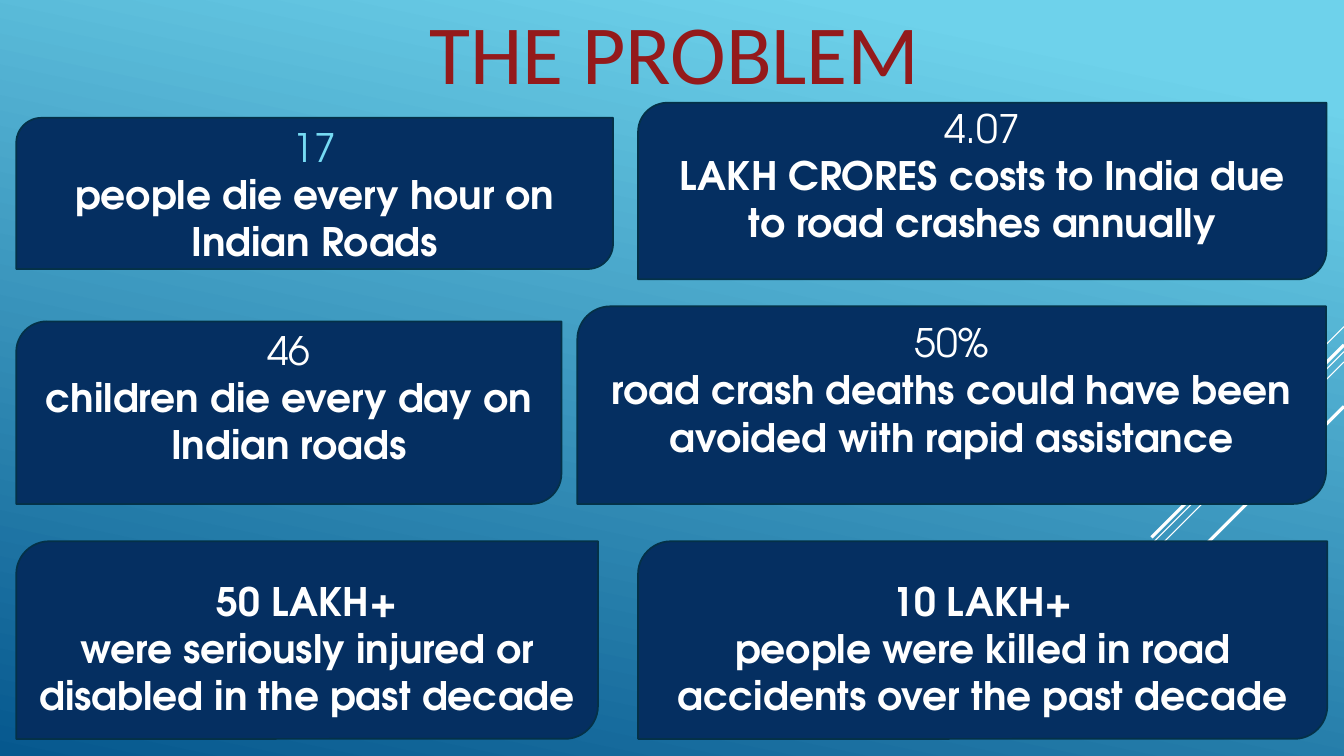
import pptx
import pptx.util
from lxml import etree
from pptx.dml.color import RGBColor
from pptx.enum.shapes import MSO_CONNECTOR, MSO_SHAPE
from pptx.enum.text import MSO_ANCHOR, PP_ALIGN
from pptx.oxml.ns import qn
from pptx.util import Cm, Pt

SKY = RGBColor(0x6E, 0xD2, 0xEB)
DEEP_BLUE = RGBColor(0x06, 0x58, 0x8E)
NAVY = RGBColor(0x05, 0x2F, 0x61)
CARD_EDGE = RGBColor(0x04, 0x31, 0x48)
WHITE = RGBColor(0xFF, 0xFF, 0xFF)
PALE_BLUE = RGBColor(0x76, 0xDB, 0xF4)
RED = RGBColor(0x94, 0x1A, 0x1B)

WIDTH, HEIGHT = 33.87, 19.05
LEFT, RIGHT = 0.41, 16.08
INSET = 0.13

# Top and bottom insets that place the text in a card
CENTRED = (INSET, INSET)
RAISED = (INSET, INSET + 0.8)
LOWERED = (INSET + 0.38, INSET)

# Box in cm, insets, figure, figure format, statement
CARDS = [
    ((LEFT, 2.97, 15.04, 3.81), CENTRED, "17", {"color": PALE_BLUE},
     "people die every hour on Indian Roads"),
    ((RIGHT, 2.59, 17.35, 4.45), RAISED, "4.07", {},
     "LAKH CRORES costs to India due to road crashes annually"),
    ((LEFT, 8.1, 13.74, 4.6), RAISED, "46", {},
     "children die every day on Indian roads"),
    ((14.55, 7.72, 18.87, 4.98), RAISED, "50%", {},
     "road crash deaths could have been avoided with rapid assistance"),
    ((LEFT, 13.64, 14.66, 4.98), LOWERED, "50 LAKH+", {"bold": True},
     "were seriously injured or disabled in the past decade"),
    ((RIGHT, 13.64, 17.37, 4.98), LOWERED, "10 LAKH+", {"bold": True},
     "people were killed in road accidents over the past decade"),
]

# Start height at the right edge, run in cm, weight in points
DIAGONALS = [(8.23, 2.54, 0.75), (8.86, 8.28, 0.75), (9.12, 5.26, 0.75),
             (8.69, 4.85, 2.25), (10.24, 3.53, 2.25)]


def set_background(s):
    fill = s.background.fill
    fill.gradient()
    fill.gradient_angle = 258
    for stop, position, color in zip(fill.gradient_stops, (0.1, 1), (SKY, DEEP_BLUE)):
        stop.position = position
        stop.color.rgb = color


def add_diagonal(s, y, run, weight):
    line = s.shapes.add_connector(MSO_CONNECTOR.STRAIGHT, Cm(WIDTH), Cm(y),
                                  Cm(WIDTH - run), Cm(y + run))
    line.line.color.rgb = WHITE
    line.line.width = Pt(weight)
    etree.SubElement(line._element.spPr, qn("a:effectLst"))


def write(p, text, color, **font):
    p.alignment = PP_ALIGN.CENTER
    r = p.add_run()
    r.text = text
    r.font.color.rgb = color
    for name, value in font.items():
        setattr(r.font, name, value)


def set_frame(tf, **values):
    for name, value in values.items():
        setattr(tf, name, value)


def add_title(s, text):
    tf = s.shapes.add_textbox(Cm(1.9), 0, Cm(30.2), Cm(2.59)).text_frame
    set_frame(tf, word_wrap=True, vertical_anchor=MSO_ANCHOR.BOTTOM, margin_bottom=0)
    p = tf.paragraphs[0]
    p.line_spacing = 0.9
    write(p, text, RED, name="Calibri", size=Pt(60))


def add_card(s, box, insets, figure, figure_format, statement):
    sp = s.shapes.add_shape(MSO_SHAPE.ROUND_2_DIAG_RECTANGLE, *map(Cm, box))
    sp.shadow.inherit = False
    sp.fill.solid()
    sp.fill.fore_color.rgb = NAVY
    sp.line.color.rgb = CARD_EDGE
    sp.line.width = Pt(1.25)
    tf = sp.text_frame
    top, bottom = insets
    set_frame(tf, word_wrap=True, vertical_anchor=MSO_ANCHOR.MIDDLE,
              margin_top=Cm(top), margin_bottom=Cm(bottom))
    base = {"name": "TeX Gyre Adventor", "size": Pt(28), "color": WHITE}
    write(tf.paragraphs[0], figure, **{**base, **figure_format})
    write(tf.add_paragraph(), statement, **base, bold=True)


def main():
    prs = pptx.Presentation()
    prs.slide_width, prs.slide_height = Cm(WIDTH), Cm(HEIGHT)
    s = prs.slides.add_slide(prs.slide_layouts[6])
    # Backdrop
    set_background(s)
    for diagonal in DIAGONALS:
        add_diagonal(s, *diagonal)
    # Title and fact cards
    add_title(s, "THE PROBLEM")
    for card in CARDS:
        add_card(s, *card)
    prs.save("out.pptx")


main()
